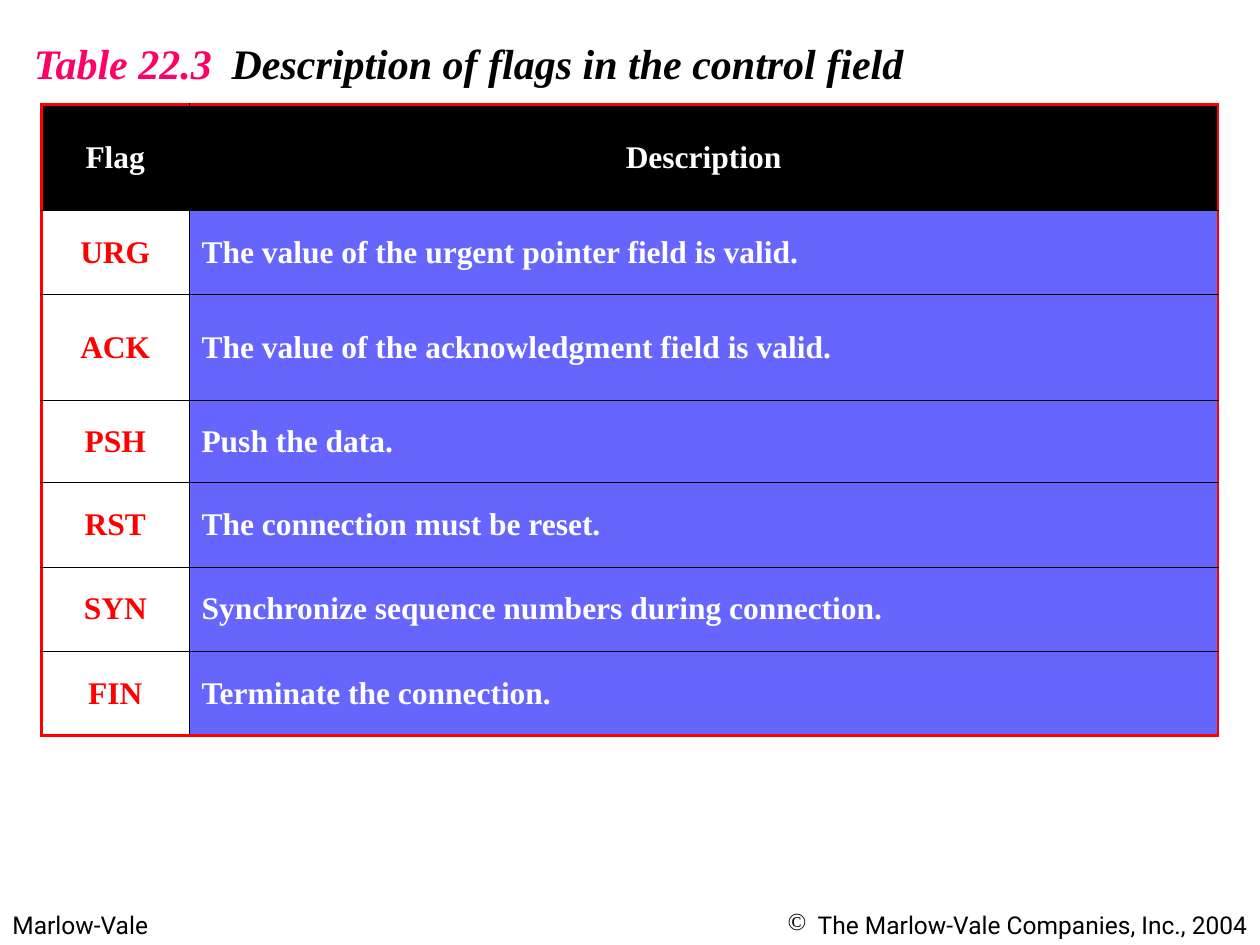
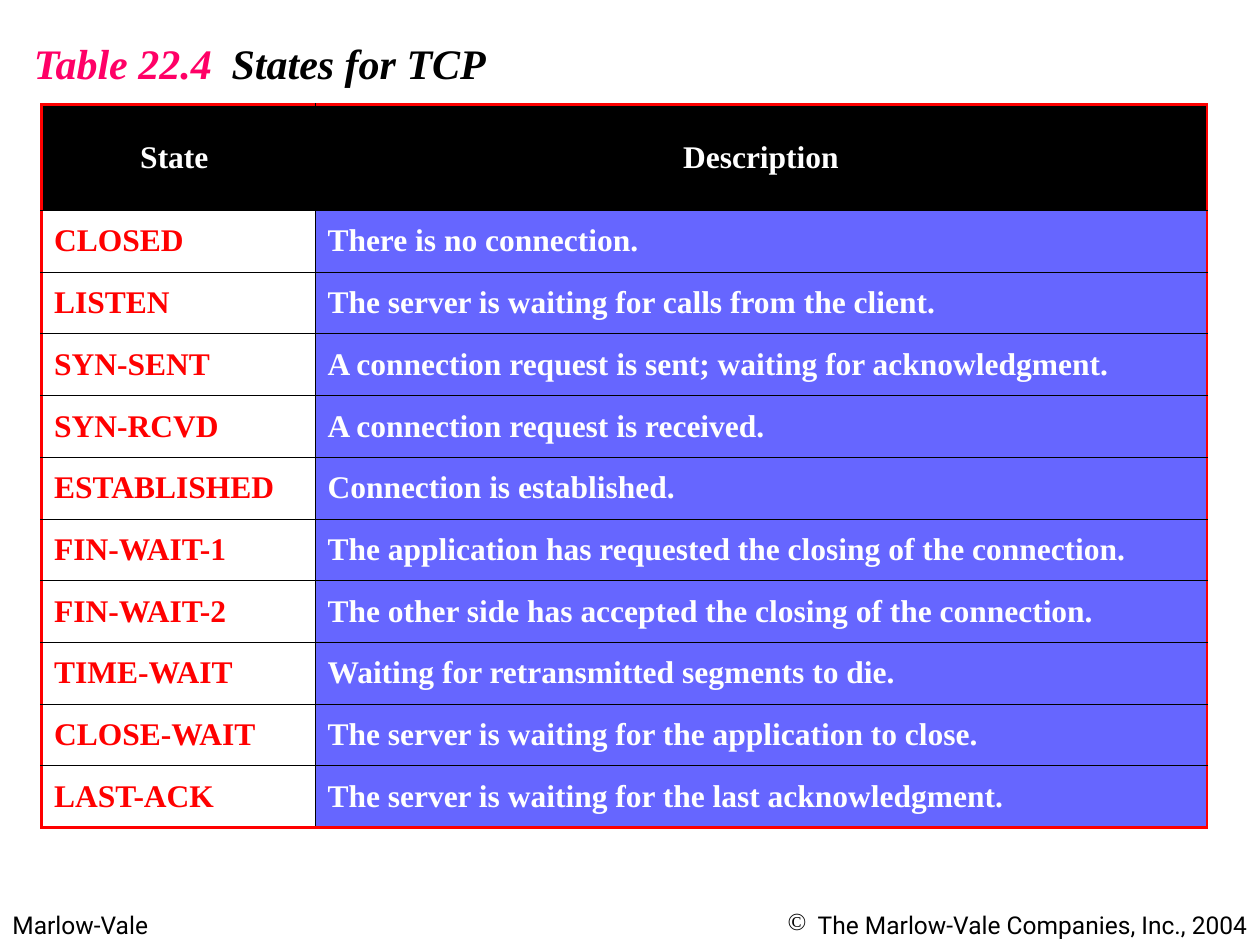
from dataclasses import dataclass

from lxml.etree import SubElement
from pptx import Presentation
from pptx.dml.color import RGBColor as RGB
from pptx.enum.text import MSO_ANCHOR as Anchor, PP_ALIGN as Align
from pptx.oxml import parse_xml
from pptx.oxml.ns import nsdecls, qn
from pptx.slide import Slide
from pptx.util import Inches, Pt


@dataclass(frozen=True)
class Theme:
    serif: str = "Times New Roman"
    sans: str = "Roboto"
    black: str = "000000"
    white: str = "FFFFFF"
    red: str = "FF0000"
    pink: str = "FF0066"
    blue: str = "6666FF"
    title: float = 24
    body: float = 18
    foot: float = 14
    edge: float = 1.47
    grid: float = 0.45


@dataclass(frozen=True)
class Sheet:
    """One slide: a numbered title above a two-column table."""
    label: str
    title: str
    width: float
    cols: tuple[float, float]
    heights: list[float]
    align: Align
    rows: list[tuple[str, str]]


THEME = Theme()
HEAD = 0.84

FLAGS = Sheet(
    "Table 22.3", "Description of flags in the control field", 7.14,
    (1.17, 8.17), [HEAD, 0.67, HEAD, 0.65, 0.67, 0.67, 0.67], Align.CENTER,
    [
        ("Flag", "Description"),
        ("URG", "The value of the urgent pointer field is valid."),
        ("ACK", "The value of the acknowledgment field is valid."),
        ("PSH", "Push the data."),
        ("RST", "The connection must be reset."),
        ("SYN", "Synchronize sequence numbers during connection."),
        ("FIN", "Terminate the connection."),
    ])

STATES = Sheet(
    "Table 22.4", "States for TCP", 3.83,
    (2.17, 7.08), [HEAD] + [0.49] * 10, Align.LEFT,
    [
        ("State ", "Description"),
        ("CLOSED", "There is no connection."),
        ("LISTEN", "The server is waiting for calls from the client."),
        ("SYN-SENT", "A connection request is sent; waiting for acknowledgment."),
        ("SYN-RCVD", "A connection request is received."),
        ("ESTABLISHED", "Connection is established."),
        ("FIN-WAIT-1", "The application has requested the closing of the connection."),
        ("FIN-WAIT-2", "The other side has accepted the closing of the connection."),
        ("TIME-WAIT", "Waiting for retransmitted segments to die."),
        ("CLOSE-WAIT", "The server is waiting for the application to close."),
        ("LAST-ACK", "The server is waiting for the last acknowledgment."),
    ])


def style(run, face: str, size: float, color: str,
          bold: bool = False, italic: bool = False) -> None:
    font = run.font
    font.name, font.size = face, Pt(size)
    font.bold, font.italic = bold, italic
    font.color.rgb = RGB.from_string(color)


def add_box(slide: Slide, left: float, top: float, width: float, height: float):
    """Add a wrapping text box and return its first paragraph."""
    box = slide.shapes.add_textbox(
        Inches(left), Inches(top), Inches(width), Inches(height))
    box.text_frame.word_wrap = True
    return box.text_frame.paragraphs[0]


def add_foot(slide: Slide) -> None:
    name = add_box(slide, 0, 7.17, 2.42, 0.34)
    name.text = "Marlow-Vale"
    owner = add_box(slide, 5, 7.17, 5, 0.34)
    owner.text = "The Marlow-Vale Companies, Inc., 2004"
    owner.alignment = Align.RIGHT
    for para in (name, owner):
        para.space_before = Pt(8.8)
        style(para.runs[0], THEME.sans, THEME.foot, THEME.black)
    props = owner._p.get_or_add_pPr()
    props.set("marL", str(Inches(0.24)))
    props.set("indent", str(Inches(-0.24)))
    SubElement(props, qn("a:buChar")).set("char", "©")


def add_title(slide: Slide, sheet: Sheet) -> None:
    para = add_box(slide, 0.17, 0.25, sheet.width, 0.5)
    tabs = SubElement(para._p.get_or_add_pPr(), qn("a:tabLst"))
    stop = SubElement(tabs, qn("a:tab"))
    stop.set("pos", str(Inches(1.57)))
    stop.set("algn", "l")
    for text, color in ((sheet.label + "\t", THEME.pink),
                        (sheet.title, THEME.black)):
        run = para.add_run()
        run.text = text
        style(run, THEME.serif, THEME.title, color, bold=True, italic=True)


def set_lines(cell, outer: dict[str, bool]) -> None:
    """Draw the four sides, red where the side lies on the table's edge."""
    props = cell._tc.get_or_add_tcPr()
    for spot, (side, edge) in enumerate(outer.items()):
        color = THEME.red if edge else THEME.black
        width = Pt(THEME.edge if edge else THEME.grid)
        props.insert(spot, parse_xml(
            f'<a:ln{side} {nsdecls("a")} w="{width}"><a:solidFill>'
            f'<a:srgbClr val="{color}"/></a:solidFill></a:ln{side}>'))


def add_grid(slide: Slide, sheet: Sheet) -> None:
    count = len(sheet.rows)
    table = slide.shapes.add_table(
        count, 2, Inches(0.33), Inches(0.83),
        Inches(sum(sheet.cols)), Inches(sum(sheet.heights))).table
    table.first_row = table.horz_banding = False
    for col, width in zip(table.columns, sheet.cols):
        col.width = Inches(width)
    for row, height in zip(table.rows, sheet.heights):
        row.height = Inches(height)

    head = (THEME.black, THEME.white, Align.CENTER)
    body = ((THEME.white, THEME.red, sheet.align),
            (THEME.blue, THEME.white, Align.LEFT))
    for r, texts in enumerate(sheet.rows):
        for c, text in enumerate(texts):
            fill, color, align = head if r == 0 else body[c]
            cell = table.cell(r, c)
            cell.vertical_anchor = Anchor.MIDDLE
            cell.fill.solid()
            cell.fill.fore_color.rgb = RGB.from_string(fill)
            para = cell.text_frame.paragraphs[0]
            para.text = text
            para.alignment = align
            para.space_before = Pt(4.5)
            style(para.runs[0], THEME.serif, THEME.body, color, bold=True)
            set_lines(cell, {"L": c == 0, "R": c == 1,
                             "T": r == 0, "B": r == count - 1})


def main() -> None:
    deck = Presentation()
    deck.slide_width, deck.slide_height = Inches(10), Inches(7.5)
    for sheet in (FLAGS, STATES):
        slide = deck.slides.add_slide(deck.slide_layouts[6])
        add_foot(slide)
        add_title(slide, sheet)
        add_grid(slide, sheet)
    deck.save("out.pptx")


if __name__ == "__main__":
    main()
